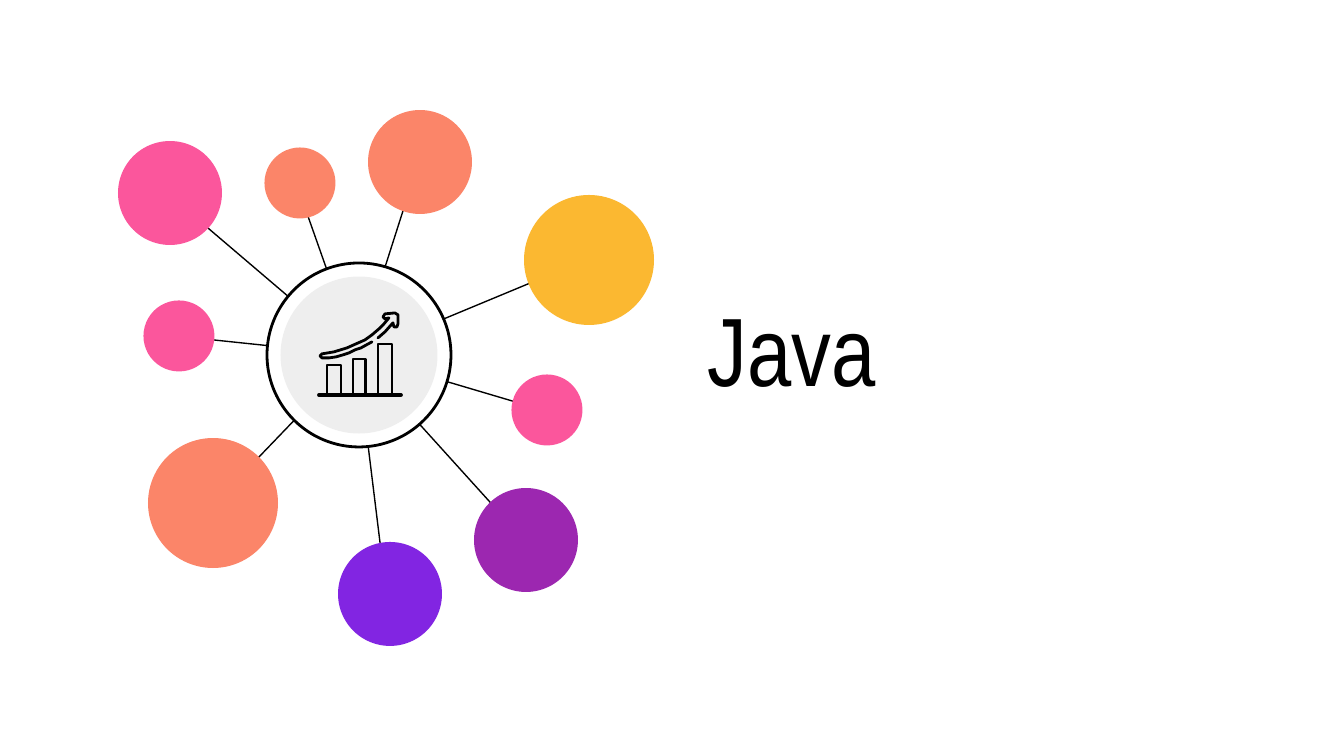
from lxml import etree
from pptx import Presentation
from pptx import util as u
from pptx.dml.color import RGBColor
from pptx.enum import shapes, text
from pptx.oxml.ns import qn

EMU_PER_PX = 914400 / 134.4

BLACK = RGBColor(0x00, 0x00, 0x00)
WHITE = RGBColor(0xFF, 0xFF, 0xFF)
GRAY = RGBColor(0xEE, 0xEE, 0xEE)
YELLOW = RGBColor(0xFB, 0xB8, 0x31)
CORAL = RGBColor(0xFB, 0x85, 0x69)
PINK = RGBColor(0xFB, 0x56, 0x9C)
PURPLE = RGBColor(0x9C, 0x27, 0xB0)
VIOLET = RGBColor(0x82, 0x25, 0xE2)

LARGE, MEDIUM, SMALL = 130, 104, 71
HUB, HUB_CORE = 184, 157

# Circle centre, diameter, colour and spoke start, within the diagram box
SATELLITES = [
    (471, 150, LARGE, YELLOW, (475, 147)),
    (95, 393, LARGE, CORAL, (93, 397)),
    (302, 52, MEDIUM, CORAL, (300, 54)),
    (52, 83, MEDIUM, PINK, (50, 84)),
    (408, 430, MEDIUM, PURPLE, (409, 433)),
    (272, 484, MEDIUM, VIOLET, (269, 489)),
    (61, 226, SMALL, PINK, (58, 226)),
    (429, 300, SMALL, PINK, (428, 301)),
    (182, 73, SMALL, CORAL, (179, 75)),
]

# Left, top and width of each bar, within the icon box
BARS = [(9, 53, 14), (35, 47, 13), (60, 32, 14)]
BASELINE = 83

# Outline of the rising arrow, within the icon box
ARROW = [
    (60, 26), (67, 20), (75, 11), (76, 15), (79, 15), (80, 12), (80, 3),
    (77, 1), (67, 2), (65, 5), (67, 7), (71, 6), (66, 12), (61, 17), (54, 23),
    (47, 28), (38, 32), (29, 36), (16, 40), (4, 42), (2, 44), (4, 46),
    (11, 46), (18, 45), (25, 43), (31, 41), (37, 38), (43, 36), (54, 30),
]


def px(n):
    return u.Emu(round(n * EMU_PER_PX))


def add_circle(s, cx, cy, diameter, fill, line_width=None):
    sp = s.shapes.add_shape(shapes.MSO_SHAPE.OVAL, px(cx - diameter / 2),
                            px(cy - diameter / 2), px(diameter), px(diameter))
    sp.shadow.inherit = False
    sp.fill.solid()
    sp.fill.fore_color.rgb = fill
    if line_width:
        sp.line.color.rgb = BLACK
        sp.line.width = u.Pt(line_width)
    else:
        sp.line.fill.background()


def add_line(s, x1, y1, x2, y2, width):
    line = s.shapes.add_connector(shapes.MSO_CONNECTOR.STRAIGHT,
                                  px(x1), px(y1), px(x2), px(y2))
    line.line.color.rgb = BLACK
    line.line.width = u.Pt(width)
    etree.SubElement(line._element.spPr, qn("a:effectLst"))
    return line


def outline(sp):
    """Leave only a black stroke with round ends and corners."""
    sp.shadow.inherit = False
    sp.fill.background()
    sp.line.color.rgb = BLACK
    sp.line.width = u.Pt(1.5)
    ln = sp.line._get_or_add_ln()
    ln.set("cap", "rnd")
    etree.SubElement(ln, qn("a:round"))


def add_growth_icon(s, left, top, width):
    for x, y, bar_width in BARS:
        outline(s.shapes.add_shape(
            shapes.MSO_SHAPE.RECTANGLE, px(left + x), px(top + y),
            px(bar_width), px(BASELINE - y)))
    base = add_line(s, left + 1, top + BASELINE,
                    left + width - 1, top + BASELINE, 2)
    base.line._get_or_add_ln().set("cap", "rnd")

    builder = s.shapes.build_freeform(*ARROW[0], scale=EMU_PER_PX)
    builder.add_line_segments(ARROW[1:], close=False)
    outline(builder.convert_to_shape(px(left), px(top)))


def add_hub_diagram(s, left, top, hub_x, hub_y):
    cx, cy = left + hub_x, top + hub_y
    # Spokes and satellites
    for x, y, diameter, color, (start_x, start_y) in SATELLITES:
        add_line(s, left + start_x, top + start_y, cx - 2, cy, 0.75)
        add_circle(s, left + x, top + y, diameter, color)
    # Hub
    add_circle(s, cx, cy, HUB, WHITE, 1.5)
    add_circle(s, cx, cy, HUB_CORE, GRAY)
    add_growth_icon(s, cx - 41, cy - 43, 84)


def add_title(s, left, top, width, height):
    title = s.shapes.title
    title.left, title.top = px(left), px(top)
    title.width, title.height = px(width), px(height)
    tf = title.text_frame
    tf.text = "Java"
    tf.word_wrap = True
    tf.auto_size = text.MSO_AUTO_SIZE.NONE
    tf.vertical_anchor = text.MSO_ANCHOR.MIDDLE
    tf.margin_left = tf.margin_right = u.Inches(0.1)
    tf.margin_top = tf.margin_bottom = u.Inches(0.1)
    p = tf.paragraphs[0]
    p.alignment = text.PP_ALIGN.LEFT
    p.font.name = "Arial Narrow"
    p.font.size = u.Pt(52)
    p.font.color.rgb = BLACK


def main():
    prs = Presentation()
    prs.slide_width, prs.slide_height = px(1344), px(756)
    s = prs.slides.add_slide(prs.slide_layouts[5])
    s.background.fill.solid()
    s.background.fill.fore_color.rgb = WHITE
    add_title(s, 694, 188, 505, 319)
    add_hub_diagram(s, 118, 110, 241, 245)
    prs.save("out.pptx")


if __name__ == "__main__":
    main()
